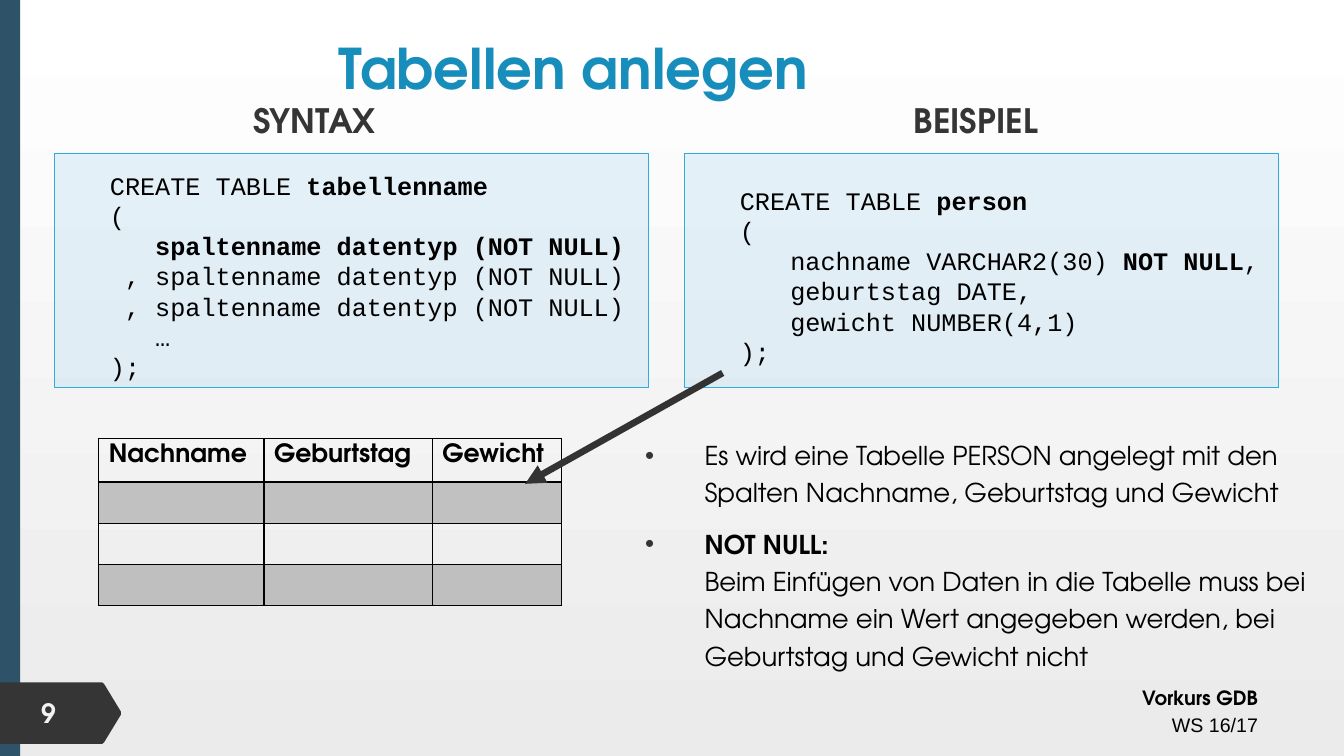
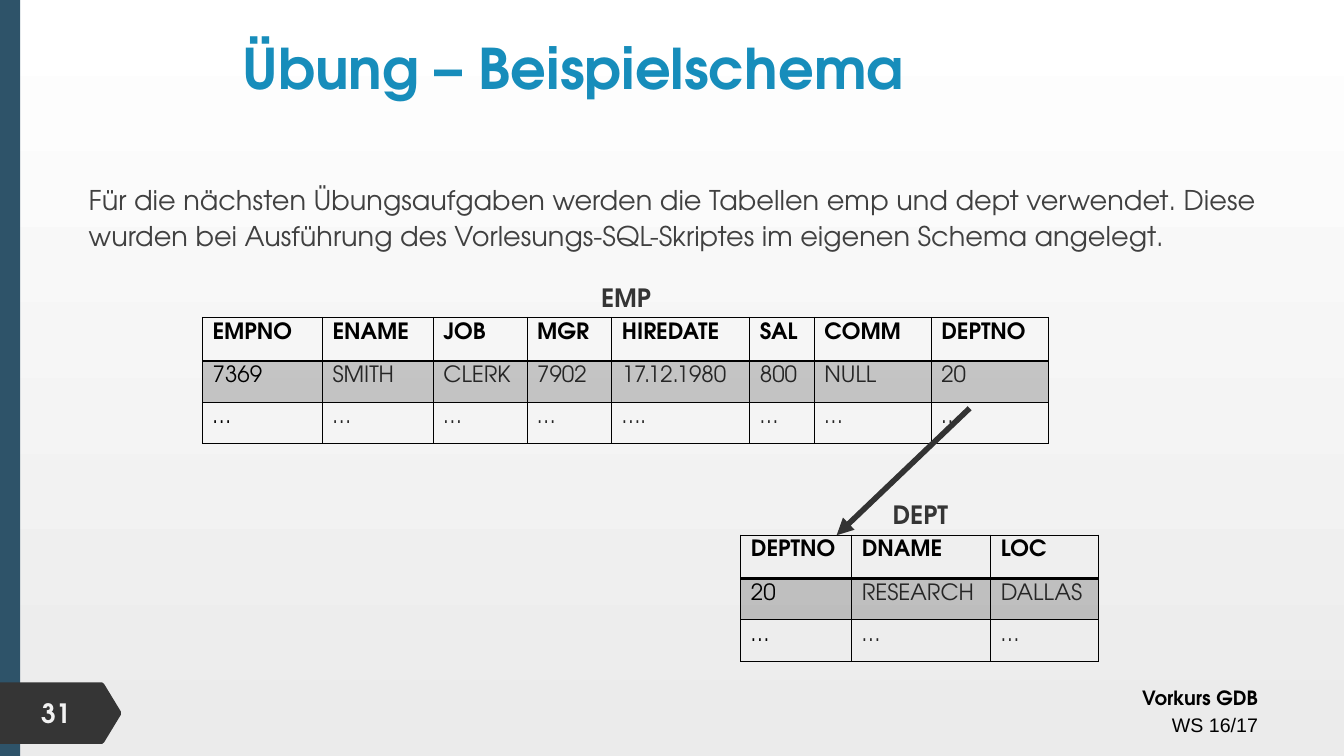
"""Build two slides on creating database tables and on an example schema."""
from dataclasses import dataclass

from lxml import etree
from pptx import Presentation
from pptx import util as u
from pptx.dml.color import RGBColor
from pptx.enum import shapes, text
from pptx.oxml.ns import qn


@dataclass(frozen=True)
class Theme:
    sans: str = "TeX Gyre Adventor"
    plain: str = "Arial"
    mono: str = "Courier New"
    black: str = "000000"
    white: str = "FFFFFF"
    mist: str = "EBEBEB"
    band: str = "2E5369"
    dark: str = "353535"
    arrow: str = "333333"
    number: str = "F2F2F2"
    title: str = "178DBB"
    intro: str = "404040"
    cell: str = "262626"
    code_fill: str = "A8D5F0"
    code_line: str = "2FACDC"
    title_size: float = 40
    heading_size: float = 24
    intro_size: float = 19.4
    number_size: float = 19
    list_size: float = 18.5
    text_size: float = 18
    data_size: float = 16
    footer_size: float = 14


theme = Theme()
COLUMNS, ROWS = 40, 30
deck = Presentation()
deck.slide_width, deck.slide_height = u.Inches(40 / 3), u.Inches(7.5)
column, row_height = deck.slide_width / COLUMNS, deck.slide_height / ROWS


def grid(*cells):
    """Turn alternating grid columns and rows into lengths."""
    return [u.Emu(round(cell * (row_height if i % 2 else column))) for i, cell in enumerate(cells)]


def write(para, size, color, *spans, font=theme.sans):
    """Add (text, bold) spans to a paragraph."""
    for words, bold in spans:
        span = para.add_run()
        span.text = words
        span.font.name, span.font.size, span.font.bold = font, u.Pt(size), bold
        span.font.color.rgb = RGBColor.from_string(color)


backdrop = deck.slide_master.background.fill
backdrop.gradient()
backdrop.gradient_angle = 270
for stop, color in zip(backdrop.gradient_stops, (theme.white, theme.mist)):
    stop.color.rgb = RGBColor.from_string(color)

layout = deck.slide_layouts[1]
for extra in list(layout.placeholders)[2:]:
    layout.shapes.element.remove(extra.element)
heading = layout.placeholders[0]
heading.left, heading.top, heading.width, heading.height = grid(3.6, 1.04, 26.91, 3.24)

pages = [deck.slides.add_slide(layout) for _ in range(2)]
create_page, schema_page = pages

band = create_page.shapes.add_shape(shapes.MSO_SHAPE.RECTANGLE, *grid(0, 0, 0.6, ROWS))
outline = [(3.04, 27.08), (3.1, 27.14), (3.6, 28.24), (3.6, 28.36), (3.1, 29.46), (3.04, 29.52), (0, 29.52)]
builder = create_page.shapes.build_freeform(*grid(0, 27.08))
builder.add_line_segments([grid(*point) for point in outline])
tag = builder.convert_to_shape()
for shape, color in ((band, theme.band), (tag, theme.dark)):
    shape.shadow.inherit = False
    shape.fill.solid()
    shape.fill.fore_color.rgb = RGBColor.from_string(color)
    shape.line.fill.background()

footer = create_page.shapes.add_textbox(*grid(22.14, 26.88, 15.6, 2.56))
footer.text_frame.word_wrap = True
footer_lines = [("Vorkurs GDB", True, theme.sans), ("WS 16/17", False, theme.plain)]
for i, (words, bold, font) in enumerate(footer_lines):
    para = footer.text_frame.add_paragraph() if i else footer.text_frame.paragraphs[0]
    para.alignment, para.line_spacing = text.PP_ALIGN.RIGHT, 1.14
    write(para, theme.footer_size, theme.black, (words, bold), font=font)
for shape in (band, footer, tag):
    layout.shapes.element.append(shape.element)

for page, number, title in ((create_page, "9", "Tabellen anlegen"), (schema_page, "31", "Übung – Beispielschema")):
    box = page.shapes.add_textbox(*grid(0.93, 27.44, 2.1, 1.68))
    box.text_frame.word_wrap = True
    write(box.text_frame.paragraphs[0], theme.number_size, theme.number, (number, True))
    frame = page.shapes.title.text_frame
    frame.auto_size = text.MSO_AUTO_SIZE.NONE
    frame.vertical_anchor = text.MSO_ANCHOR.MIDDLE
    frame.paragraphs[0].alignment = text.PP_ALIGN.CENTER
    write(frame.paragraphs[0], theme.title_size, theme.title, (title, True))

for page, place in ((create_page, (18.9, 17, 20.28, 10.12)), (schema_page, (2.34, 6.96, 35.43, 18.88))):
    body = page.placeholders[1]
    body.left, body.top, body.width, body.height = grid(*place)
    body.text_frame.auto_size = text.MSO_AUTO_SIZE.NONE
    body.text_frame.vertical_anchor = text.MSO_ANCHOR.TOP

notes = create_page.placeholders[1].text_frame
table_note, null_note = notes.paragraphs[0], notes.add_paragraph()
write(table_note, theme.list_size, theme.black,
      ("Es wird eine Tabelle PERSON angelegt mit den Spalten Nachname, Geburtstag und Gewicht", False))
write(null_note, theme.list_size, theme.black, ("NOT NULL:", True))
null_note.add_line_break()
write(null_note, theme.list_size, theme.black,
      ("Beim Einfügen von Daten in die Tabelle muss bei Nachname ein Wert angegeben werden, "
       "bei Geburtstag und Gewicht nicht", False))
intro = schema_page.placeholders[1].text_frame.paragraphs[0]
write(intro, theme.intro_size, theme.intro,
      ("Für die nächsten Übungsaufgaben werden die Tabellen emp und dept verwendet. Diese wurden bei "
       "Ausführung des Vorlesungs-SQL-Skriptes im eigenen Schema angelegt.", False))

for para, spacing, hang in ((table_note, 1.2, 1.77), (null_note, 1.2, 1.77), (intro, 1.1, 0)):
    para.line_spacing, para.space_before = spacing, u.Pt(10)
    props = para._p.get_or_add_pPr()
    props.set("marL", str(round(hang * column)))
    props.set("indent", str(-round(hang * column)))
    if hang:
        bullet_color = etree.SubElement(props, qn("a:buClr"))
        etree.SubElement(bullet_color, qn("a:srgbClr"), val=theme.dark)
        etree.SubElement(props, qn("a:buChar"), char="•")
    else:
        etree.SubElement(props, qn("a:buNone"))

column_line = "spaltenname datentyp (NOT NULL)"
syntax = [
    (0, [("CREATE TABLE ", False), ("tabellenname", True)]),
    (0, [("(", False)]),
    (1.35, [(column_line, True)]),
    (0.45, [(", " + column_line, False)]),
    (0.45, [(", " + column_line, False)]),
    (1.35, [("…", False)]),
    (0, [(");", False)]),
]
example = [
    (0, [("CREATE TABLE ", False), ("person", True)]),
    (0, [("(", False)]),
    (1.5, [("nachname VARCHAR2(30) ", False), ("NOT NULL", True), (",", False)]),
    (1.5, [("geburtstag DATE,", False)]),
    (1.5, [("gewicht NUMBER(4,1)", False)]),
    (0, [(");", False)]),
]
for i, lines in enumerate((syntax, example)):
    box = create_page.shapes.add_shape(shapes.MSO_SHAPE.RECTANGLE, *grid(1.62 + 18.75 * i, 6.08, 17.67, 9.28))
    box.shadow.inherit = False
    box.fill.solid()
    box.fill.fore_color.rgb = RGBColor.from_string(theme.code_fill)
    etree.SubElement(next(box.element.spPr.iter(qn("a:srgbClr"))), qn("a:alpha"), val="27000")
    box.line.color.rgb = RGBColor.from_string(theme.code_line)
    box.line.width = u.Pt(0.75)
    frame = box.text_frame
    frame.word_wrap, frame.vertical_anchor = True, text.MSO_ANCHOR.MIDDLE
    frame.margin_left, frame.margin_top, frame.margin_right, frame.margin_bottom = grid(1.65, 0.64, 0.3, 0.2)
    for j, (indent, spans) in enumerate(lines):
        para = frame.add_paragraph() if j else frame.paragraphs[0]
        para.alignment = text.PP_ALIGN.LEFT
        para._p.get_or_add_pPr().set("marL", str(round(indent * column)))
        write(para, theme.text_size, theme.black, *spans, font=theme.mono)

headings = [
    (create_page, "SYNTAX", theme.heading_size, 5.13, 3.76, 2),
    (create_page, "BEISPIEL", theme.heading_size, 24.81, 3.76, 2),
    (schema_page, "EMP", theme.text_size, 14.4, 11, 1.6),
    (schema_page, "DEPT", theme.text_size, 23.16, 19.6, 1.6),
]
for page, words, size, left, top, height in headings:
    box = page.shapes.add_textbox(*grid(left, top, 8.46, height))
    box.text_frame.word_wrap = True
    para = box.text_frame.paragraphs[0]
    para.alignment = text.PP_ALIGN.CENTER
    write(para, size, theme.dark, (words, True))

tables = [
    (create_page, theme.text_size, (2.94, 17.4), (4.92, 5.01, 3.84),
     [["Nachname", "Geburtstag", "Gewicht"]] + [[""] * 3] * 3),
    (schema_page, theme.data_size, (6.03, 12.6), (3.57, 3.3, 2.79, 2.52, 4.11, 1.92, 3.48, 3.48),
     [["EMPNO", "ENAME", "JOB", "MGR", "HIREDATE", "SAL", "COMM", "DEPTNO"],
      ["7369", "SMITH", "CLERK", "7902", "17.12.1980", "800", "NULL", "20"],
      ["…", "…", "…", "…", "….", "…", "…", "…"]]),
    (schema_page, theme.data_size, (22.05, 21.24), (3.3, 4.14, 3.21),
     [["DEPTNO", "DNAME", "LOC"], ["20", "RESEARCH", "DALLAS"], ["…"] * 3]),
]
for page, size, corner, widths, rows in tables:
    heights = [1.72] + [1.64] * (len(rows) - 1)
    place = grid(*corner, sum(widths), sum(heights))
    table = page.shapes.add_table(len(rows), len(widths), *place).table
    table.first_row = table.horz_banding = False
    for j, width in enumerate(widths):
        table.columns[j].width = grid(width)[0]
    for i, values in enumerate(rows):
        table.rows[i].height = grid(0, heights[i])[1]
        for j, value in enumerate(values):
            cell = table.cell(i, j)
            props = cell._tc.get_or_add_tcPr()
            if i % 2:
                cell.fill.solid()
                cell.fill.fore_color.rgb = RGBColor.from_string(theme.black)
                etree.SubElement(next(props.iter(qn("a:srgbClr"))), qn("a:alpha"), val="20000")
            else:
                cell.fill.background()
            for k, side in enumerate("LRTB"):
                heavy = (i, side) in ((0, "B"), (1, "T"))
                border = etree.Element(qn("a:ln" + side), w=str(u.Pt(2 if heavy else 1)))
                paint = etree.SubElement(border, qn("a:solidFill"))
                etree.SubElement(paint, qn("a:srgbClr"), val=theme.black)
                props.insert(k, border)
            if value:
                color = theme.cell if i and j else theme.black
                write(cell.text_frame.paragraphs[0], size, color, (value, i == 0))

arrows = [(create_page, (21.51, 14.8, 15.63, 19.2), 4.75), (schema_page, (28.86, 16.2, 24.9, 21.24), 4)]
for page, ends, weight in arrows:
    arrow = page.shapes.add_connector(shapes.MSO_CONNECTOR.STRAIGHT, *grid(*ends))
    arrow.line.color.rgb = RGBColor.from_string(theme.arrow)
    arrow.line.width = u.Pt(weight)
    props = arrow.element.spPr
    etree.SubElement(props.find(qn("a:ln")), qn("a:tailEnd"), type="triangle")
    etree.SubElement(props, qn("a:effectLst"))

deck.save("out.pptx")
